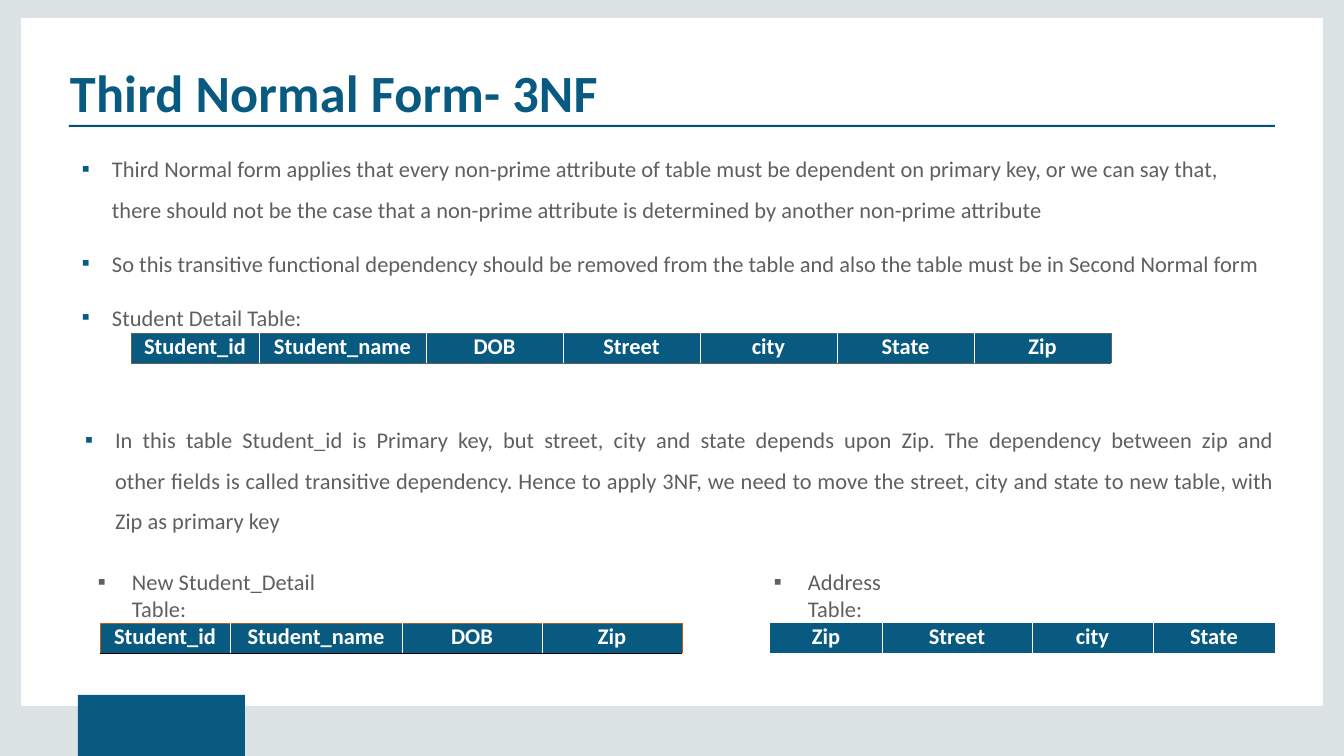
import pptx
import pptx.util
import pptx.dml.color
import pptx.enum.shapes
import pptx.enum.text
import pptx.oxml.ns
from lxml import etree

RGB = pptx.dml.color.RGBColor
ALIGN = pptx.enum.text.PP_ALIGN
PALE = RGB(0xDC, 0xE3, 0xE4)
BLUE = RGB(0x09, 0x5A, 0x81)
RULE = RGB(0x05, 0x51, 0x7F)
GRAY = RGB(0x5F, 0x5F, 0x5F)
RUST = RGB(0xC5, 0x59, 0x10)
BLACK = RGB(0, 0, 0)
WHITE = RGB(0xFF, 0xFF, 0xFF)
FACE = "Calibri"


def px(num):
    return round(num * 914400 / 67.2)


def node(root, tag, **attrs):
    return etree.SubElement(root, pptx.oxml.ns.qn("a:" + tag), **attrs)


def tint(root, color):
    node(node(root, "solidFill"), "srgbClr", val=str(color))


def style(para, size, color, bold=False, track=0):
    font = para.font
    font.name = FACE
    font.size = pptx.util.Pt(size)
    font.bold = bold
    font.color.rgb = color
    for run in para.runs:
        run._r.get_or_add_rPr().set("spc", str(track))


def block(slide, left, top, width, height, color):
    kind = pptx.enum.shapes.MSO_SHAPE.RECTANGLE
    shape = slide.shapes.add_shape(kind, px(left), px(top), px(width), px(height))
    shape.shadow.inherit = False
    shape.fill.solid()
    shape.fill.fore_color.rgb = color
    shape.line.fill.background()


def text_box(slide, left, top, width, height):
    frame = slide.shapes.add_textbox(px(left), px(top), px(width), px(height)).text_frame
    frame.word_wrap = True
    frame.margin_left = frame.margin_right = 0
    frame.margin_top = frame.margin_bottom = 0
    return frame


def title(slide, text):
    para = text_box(slide, 70, 60, 1206, 55).paragraphs[0]
    para.text = text
    style(para, 56, BLUE, True, 20)


def bullet(para, text, mark, indent, space=1.0, before=0, align=ALIGN.LEFT):
    para.text = text
    para.alignment = align
    para.line_spacing = space
    para.space_before = pptx.util.Pt(before)
    props = para._p.get_or_add_pPr()
    props.set("marL", str(px(indent)))
    props.set("indent", str(-px(indent)))
    node(node(props, "buClr"), "srgbClr", val=str(mark))
    node(props, "buFont", typeface=FACE)
    node(props, "buChar", char="▪")
    style(para, 24, GRAY, track=7)


def border(cell, side, color, width):
    props = cell._tc.get_or_add_tcPr()
    line = node(props, "ln" + side, w=str(pptx.util.Pt(width)))
    if color is None:
        node(line, "noFill")
    else:
        tint(line, color)


def header(slide, left, top, names, widths, edge, base, weight):
    high = px(30)
    shape = slide.shapes.add_table(1, len(names), px(left), px(top), px(sum(widths)), high)
    table = shape.table
    table.first_row = table.horz_banding = False
    table.rows[0].height = high
    last = len(names) - 1
    for col, (name, width) in enumerate(zip(names, widths)):
        table.columns[col].width = px(width)
        cell = table.cell(0, col)
        cell.margin_left = cell.margin_right = 0
        cell.margin_top = cell.margin_bottom = 0
        para = cell.text_frame.paragraphs[0]
        para.text = name
        para.alignment = ALIGN.CENTER
        style(para, 24, WHITE, True)
        outer, inner = (edge, weight), (WHITE, 1)
        border(cell, "L", *(outer if col == 0 else inner))
        border(cell, "R", *(outer if col == last else inner))
        border(cell, "T", edge, weight)
        border(cell, "B", base, weight)
        cell.fill.solid()
        cell.fill.fore_color.rgb = BLUE


def back(slide):
    for left, top, width, height in [
        (1323, 18, 21, 688),
        (0, 18, 21, 688),
        (245, 706, 1099, 50),
        (0, 706, 78, 50),
        (0, 0, 1344, 18),
    ]:
        block(slide, left, top, width, height, PALE)
    block(slide, 78, 695, 167, 61, BLUE)
    block(slide, 69, 125, 1206, 2, RULE)


def main():
    deck = pptx.Presentation()
    deck.slide_width, deck.slide_height = px(1344), px(756)
    slide = deck.slides.add_slide(deck.slide_layouts[6])
    back(slide)
    title(slide, "Third Normal Form- 3NF")

    frame = text_box(slide, 82, 142, 1187, 173)
    bullet(
        frame.paragraphs[0],
        "Third Normal form applies that every non-prime attribute of table must be "
        "dependent on primary key, or we can say that, there should not be the case that "
        "a non-prime attribute is determined by another non-prime attribute",
        BLUE, 30, space=1.5,
    )
    for text in [
        "So this transitive functional dependency should be removed from the table "
        "and also the table must be in Second Normal form",
        "Student Detail Table:",
    ]:
        bullet(frame.add_paragraph(), text, BLUE, 30, before=29)

    frame = text_box(slide, 85, 413, 1189, 106)
    bullet(
        frame.paragraphs[0],
        "In this table Student_id is Primary key, but street, city and state depends upon "
        "Zip. The dependency between zip and\vother fields is called transitive dependency. "
        "Hence to apply 3NF, we need to move the street, city and state to new table, with\v"
        "Zip as primary key",
        BLUE, 30, space=1.5, align=ALIGN.JUSTIFY,
    )

    for left, width, text in [
        (98, 270, "New Student_Detail Table:"),
        (774, 164, "Address Table:"),
    ]:
        frame = text_box(slide, left, 568, width, 26)
        bullet(frame.paragraphs[0], text, GRAY, 34)

    full = ["Student_id", "Student_name", "DOB", "Street", "city", "State", "Zip"]
    header(slide, 131, 333, full, [128, 167] + [137] * 5, GRAY, GRAY, 1)
    header(slide, 100, 623, full[:3] + full[-1:], [130, 172, 140, 140], RUST, BLACK, 0.5)
    header(slide, 770, 623, full[-1:] + full[3:6], [112, 150, 121, 122], None, None, 1)
    deck.save("out.pptx")


if __name__ == "__main__":
    main()
